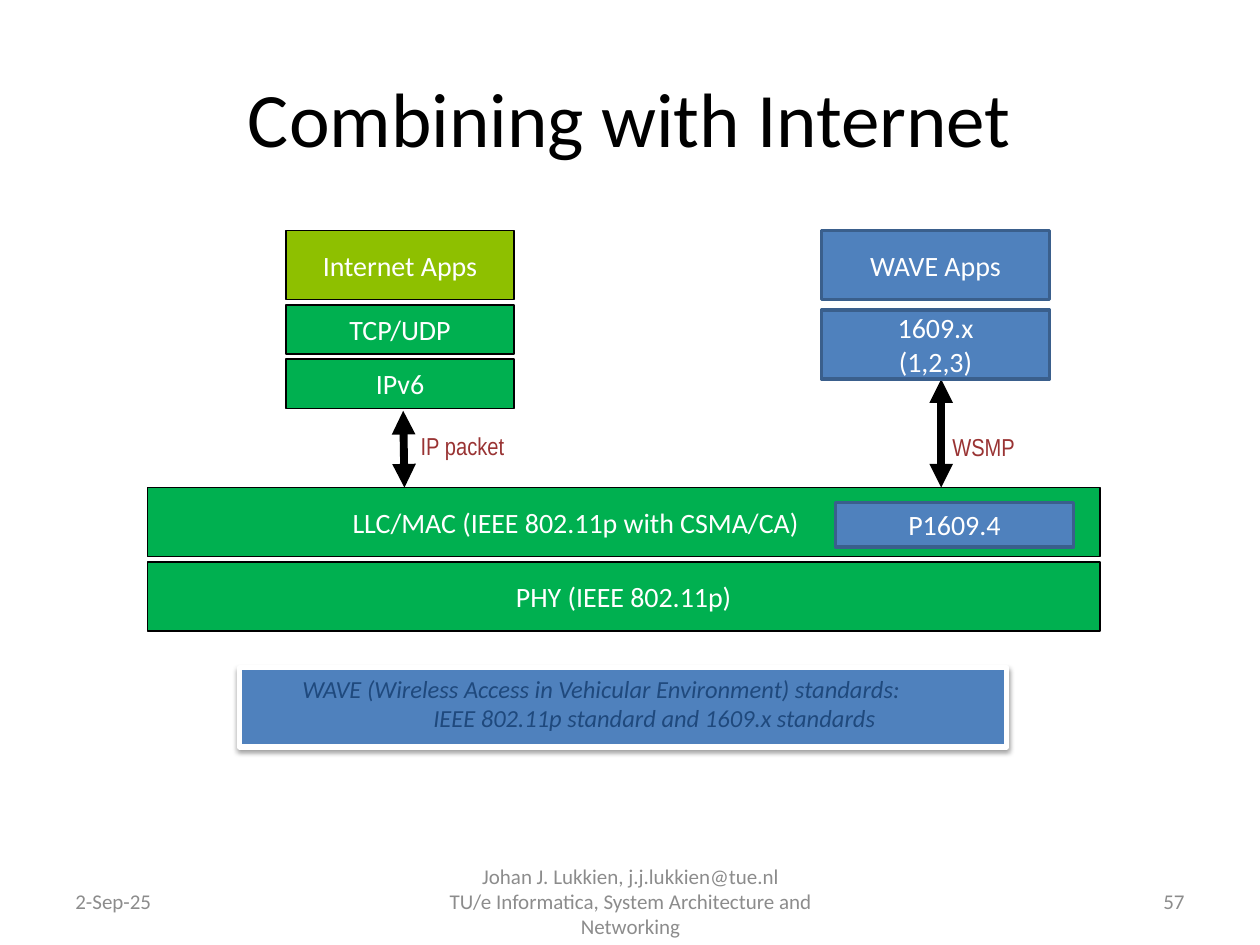
from typing import NamedTuple

from lxml import etree
from pptx import Presentation, util as u
from pptx.dml.color import RGBColor
from pptx.enum import shapes, text
from pptx.oxml.ns import qn

WIDTH, HEIGHT = u.Inches(10), u.Inches(7.5)

BLACK = RGBColor(0x00, 0x00, 0x00)
WHITE = RGBColor(0xFF, 0xFF, 0xFF)
GREY = RGBColor(0x8C, 0x8C, 0x8C)
LIME = RGBColor(0x8E, 0xC0, 0x00)
GREEN = RGBColor(0x00, 0xB0, 0x50)
BLUE = RGBColor(0x4F, 0x81, 0xBD)
DARK_BLUE = RGBColor(0x3A, 0x5F, 0x8C)
NAVY = RGBColor(0x1F, 0x49, 0x7D)
MAROON = RGBColor(0x99, 0x33, 0x33)

LEFT, CENTER, RIGHT = text.PP_ALIGN.LEFT, text.PP_ALIGN.CENTER, text.PP_ALIGN.RIGHT
TOP, MIDDLE = text.MSO_ANCHOR.TOP, text.MSO_ANCHOR.MIDDLE


class Area(NamedTuple):
    """A rectangle in percent of the slide's width and height."""
    left: float
    top: float
    width: float
    height: float


class Style(NamedTuple):
    fill: RGBColor
    line: RGBColor
    weight: float


class Layer(NamedTuple):
    label: str
    area: Area
    style: Style
    right_inset: float = 0.1


class Arrow(NamedTuple):
    label: str
    label_area: Area
    start: tuple[float, float]
    end: tuple[float, float]


class Footer(NamedTuple):
    label: str
    left: float
    width: float
    align: text.PP_ALIGN


APP = Style(LIME, BLACK, 0.75)
INTERNET = Style(GREEN, BLACK, 0.75)
WAVE = Style(BLUE, DARK_BLUE, 2)
NOTE = Style(BLUE, WHITE, 3)

IP_LEFT, WAVE_LEFT, STACK_WIDTH = 22.7, 65.2, 18.1
BASE_LEFT, BASE_WIDTH = 11.7, 75.6
STACK_TOP, BASE_TOP = 24.4, 51.6
TALL, LOW = 7.33, 5.2

LAYERS = [
    Layer("Internet Apps", Area(IP_LEFT, STACK_TOP, STACK_WIDTH, TALL), APP),
    Layer("TCP/UDP", Area(IP_LEFT, 32.27, STACK_WIDTH, LOW), INTERNET),
    Layer("IPv6", Area(IP_LEFT, 38, STACK_WIDTH, LOW), INTERNET),
    Layer("PHY (IEEE 802.11p)", Area(BASE_LEFT, 59.47, BASE_WIDTH, TALL), INTERNET),
    Layer("LLC/MAC (IEEE 802.11p with CSMA/CA)",
          Area(BASE_LEFT, BASE_TOP, BASE_WIDTH, TALL), INTERNET, right_inset=0.86),
    Layer("P1609.4", Area(66.3, 53.2, 18.9, 4.67), WAVE),
    Layer("WAVE Apps", Area(WAVE_LEFT, STACK_TOP, STACK_WIDTH, TALL), WAVE),
    Layer("1609.x\n(1,2,3)", Area(WAVE_LEFT, 32.8, STACK_WIDTH, TALL), WAVE),
]
ARROWS = [
    Arrow("WSMP", Area(74.6, 45.07, 8.1, 4.53), (74.7, 40.13), (74.7, BASE_TOP)),
    Arrow("IP packet", Area(32.4, 44.93, 10.1, 4.53), (32, 43.47), (32.1, BASE_TOP)),
]
FOOTERS = [
    Footer("2-Sep-25", 5, 23.3, LEFT),
    Footer("Johan J. Lukkien, j.j.lukkien@tue.nl\n"
           "TU/e Informatica, System Architecture and Networking", 34.2, 31.7, CENTER),
    Footer("57", 71.7, 23.3, RIGHT),
]


def across(percent: float) -> int:
    return round(WIDTH * percent / 100)


def down(percent: float) -> int:
    return round(HEIGHT * percent / 100)


def place(area: Area) -> tuple[int, int, int, int]:
    return across(area.left), down(area.top), across(area.width), down(area.height)


def write(sp, content: str, *, size: float, color: RGBColor, font: str = "Calibri",
          align=CENTER, anchor=MIDDLE, wrap: bool = False, italic: bool = False) -> None:
    tf = sp.text_frame
    tf.text = content
    tf.word_wrap = wrap
    tf.vertical_anchor = anchor
    for p in tf.paragraphs:
        p.alignment = align
        for r in p.runs:
            r.font.name, r.font.size, r.font.italic = font, u.Pt(size), italic
            r.font.color.rgb = color


def add_box(slide, area: Area, style: Style):
    sp = slide.shapes.add_shape(shapes.MSO_SHAPE.RECTANGLE, *place(area))
    sp.shadow.inherit = False
    sp.fill.solid()
    sp.fill.fore_color.rgb = style.fill
    sp.line.color.rgb = style.line
    sp.line.width = u.Pt(style.weight)
    return sp


def add_layer(slide, layer: Layer) -> None:
    sp = add_box(slide, layer.area, layer.style)
    write(sp, layer.label, size=16, color=WHITE)
    sp.text_frame.margin_right = u.Inches(layer.right_inset)


def add_arrow(slide, arrow: Arrow) -> None:
    (x1, y1), (x2, y2) = arrow.start, arrow.end
    line = slide.shapes.add_connector(
        shapes.MSO_CONNECTOR.STRAIGHT, across(x1), down(y1), across(x2), down(y2))
    line.line.color.rgb = BLACK
    line.line.width = u.Pt(4.5)
    ln = line.line._get_or_add_ln()
    for end in ("a:headEnd", "a:tailEnd"):
        etree.SubElement(ln, qn(end), type="triangle")
    etree.SubElement(line._element.spPr, qn("a:effectLst"))
    label = slide.shapes.add_textbox(*place(arrow.label_area))
    write(label, arrow.label, size=14, color=MAROON, font="Arial Narrow",
          align=LEFT, anchor=TOP)


def add_soft_shadow(sp) -> None:
    effects = sp._element.spPr.find(qn("a:effectLst"))
    shadow = etree.SubElement(
        effects, qn("a:outerShdw"), blurRad=str(u.Pt(3.1)), dist=str(u.Pt(1.6)),
        dir="5400000", rotWithShape="0")
    color = etree.SubElement(shadow, qn("a:srgbClr"), val=str(BLACK))
    etree.SubElement(color, qn("a:alpha"), val="38000")


def add_standards_note(slide) -> None:
    sp = add_box(slide, Area(19, 70.67, 60.9, 8.4), NOTE)
    add_soft_shadow(sp)
    write(sp, "WAVE (Wireless Access in Vehicular Environment) standards:\n"
              "IEEE 802.11p standard and 1609.x standards",
          size=14, color=NAVY, align=LEFT, anchor=TOP, wrap=True, italic=True)
    tf = sp.text_frame
    tf.margin_left = tf.margin_right = 0
    for p in tf.paragraphs:
        p.level = 1
        pPr = p._p.get_or_add_pPr()
        pPr.set("marL", str(u.Inches(0.5)))
        pPr.set("indent", "0")
    tf.paragraphs[1].alignment = CENTER


def main() -> None:
    prs = Presentation()
    prs.slide_width, prs.slide_height = WIDTH, HEIGHT
    slide = prs.slides.add_slide(prs.slide_layouts[5])

    title = slide.shapes.title
    title.left, title.top, title.width, title.height = place(Area(5, 4, 90, 16.67))
    write(title, "Combining with Internet", size=44, color=BLACK, wrap=True)

    for footer in FOOTERS:
        sp = slide.shapes.add_textbox(*place(Area(footer.left, 92.67, footer.width, 5.33)))
        write(sp, footer.label, size=12, color=GREY, align=footer.align, wrap=True)
    for arrow in ARROWS:
        add_arrow(slide, arrow)
    for layer in LAYERS:
        add_layer(slide, layer)
    add_standards_note(slide)

    prs.save("out.pptx")


if __name__ == "__main__":
    main()
